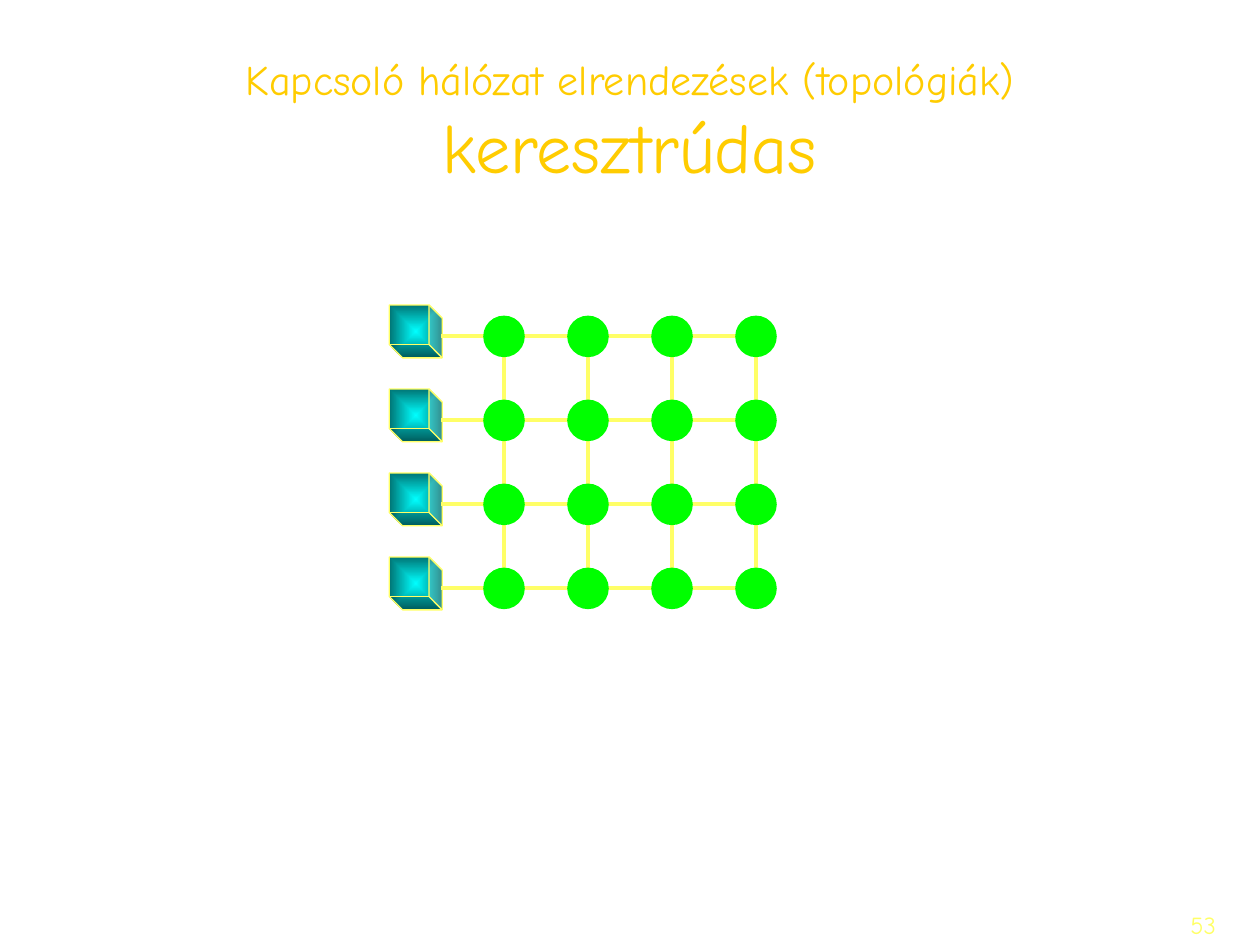
from dataclasses import dataclass

from lxml import etree
from pptx import Presentation
from pptx.dml.color import RGBColor
from pptx.enum import shapes, text
from pptx.oxml.ns import qn
from pptx.util import Inches, Pt


@dataclass(frozen=True)
class Theme:
    font: str = "Comic Neue"
    title: RGBColor = RGBColor(0xFF, 0xCC, 0x00)
    wire: RGBColor = RGBColor(0xFF, 0xFF, 0x66)
    switch: RGBColor = RGBColor(0x00, 0xFF, 0x00)
    cube_center: RGBColor = RGBColor(0x00, 0xFF, 0xFF)
    cube_edge: RGBColor = RGBColor(0x00, 0x75, 0x75)
    topic_size: int = 24
    name_size: int = 40
    number_size: int = 14
    wire_width: float = 2.25
    cube_line: float = 0.75


@dataclass(frozen=True)
class Grid:
    """Crossbar of count x count switches, in inches."""
    left: float = 4.0
    top: float = 2.67
    step: float = 2 / 3
    count: int = 4
    wire_start: float = 3.5
    switch_size: float = 0.33
    cube_left: float = 3.09
    cube_rise: float = 0.25
    cube_size: float = 0.42

    @property
    def columns(self) -> list[float]:
        return [self.left + self.step * i for i in range(self.count)]

    @property
    def rows(self) -> list[float]:
        return [self.top + self.step * i for i in range(self.count)]


THEME = Theme()
GRID = Grid()


def add_text_box(page, left: float, top: float, width: float, height: float,
                 anchor, alignment):
    """Return the frame and first paragraph of a wrapped text box."""
    box = page.shapes.add_textbox(Inches(left), Inches(top), Inches(width), Inches(height))
    frame = box.text_frame
    frame.word_wrap = True
    frame.vertical_anchor = anchor
    para = frame.paragraphs[0]
    para.alignment = alignment
    para.font.name = THEME.font
    return para


def add_span(para, words: str, size: int) -> None:
    span = para.add_run()
    span.text = words
    span.font.size = Pt(size)


def add_wire(group, x1: float, y1: float, x2: float, y2: float) -> None:
    wire = group.shapes.add_connector(shapes.MSO_CONNECTOR.STRAIGHT, Inches(x1), Inches(y1),
                                      Inches(x2), Inches(y2))
    wire.line.color.rgb = THEME.wire
    wire.line.width = Pt(THEME.wire_width)
    etree.SubElement(wire._element.spPr, qn("a:effectLst"))


def add_square_shape(group, kind, left: float, top: float, size: float):
    shape = group.shapes.add_shape(kind, Inches(left), Inches(top), Inches(size), Inches(size))
    shape.rotation = 90
    shape.shadow.inherit = False
    return shape


def add_switch(group, x: float, y: float) -> None:
    half = GRID.switch_size / 2
    switch = add_square_shape(group, shapes.MSO_SHAPE.OVAL, x - half, y - half, GRID.switch_size)
    switch.fill.solid()
    switch.fill.fore_color.rgb = THEME.switch
    switch.line.fill.background()


def add_cube(group, y: float) -> None:
    cube = add_square_shape(group, shapes.MSO_SHAPE.CUBE, GRID.cube_left,
                            y - GRID.cube_rise, GRID.cube_size)
    cube.adjustments[0] = 0.25
    cube.line.color.rgb = THEME.wire
    cube.line.width = Pt(THEME.cube_line)
    cube.fill.gradient()
    for stop, color in zip(cube.fill.gradient_stops, (THEME.cube_center, THEME.cube_edge)):
        stop.color.rgb = color
    gradient = cube._element.spPr.find(qn("a:gradFill"))
    linear = gradient.find(qn("a:lin"))
    radial = etree.Element(qn("a:path"), {"path": "rect"})
    etree.SubElement(radial, qn("a:fillToRect"), dict.fromkeys("ltrb", "50000"))
    gradient.replace(linear, radial)


def add_crossbar(page) -> None:
    group = page.shapes.add_group_shape()
    columns, rows = GRID.columns, GRID.rows
    for y in rows:
        add_cube(group, y)
        add_wire(group, columns[-1], y, GRID.wire_start, y)
    for x in columns:
        add_wire(group, x, rows[0], x, rows[-1])
    for x in columns:
        for y in rows:
            add_switch(group, x, y)


def main() -> None:
    deck = Presentation()
    deck.slide_width, deck.slide_height = Inches(10), Inches(7.5)
    page = deck.slides.add_slide(deck.slide_layouts[6])

    title = add_text_box(page, 0, 0.33, 10, 1.25, text.MSO_ANCHOR.MIDDLE, text.PP_ALIGN.CENTER)
    title.font.color.rgb = THEME.title
    add_span(title, "Kapcsoló hálózat elrendezések (topológiák)", THEME.topic_size)
    title.add_line_break()
    add_span(title, "keresztrúdas", THEME.name_size)

    add_crossbar(page)

    number = add_text_box(page, 7.67, 7.17, 2.08, 0.33, text.MSO_ANCHOR.TOP, text.PP_ALIGN.RIGHT)
    number.font.color.rgb = THEME.wire
    add_span(number, "53", THEME.number_size)

    deck.save("out.pptx")


if __name__ == "__main__":
    main()
